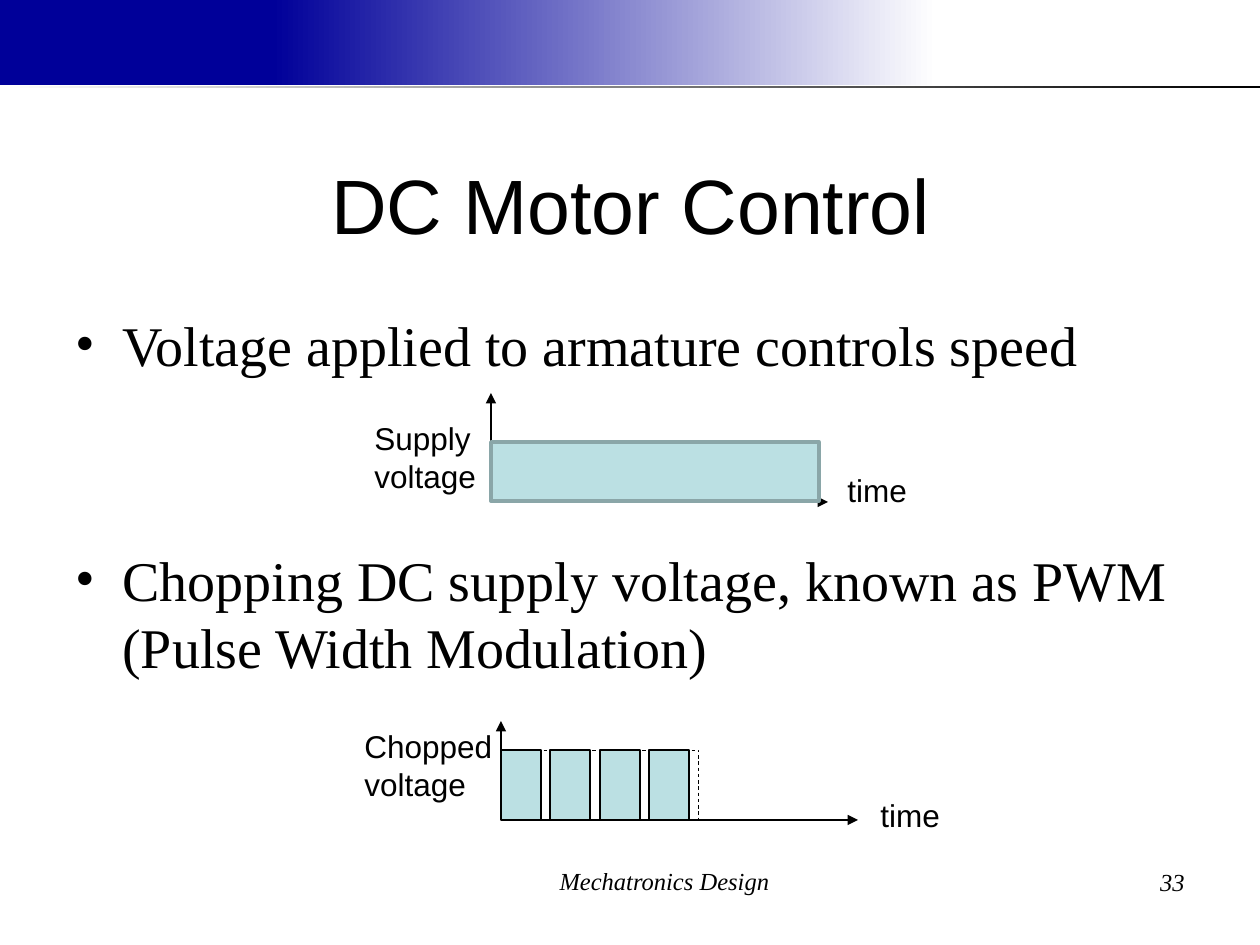
from lxml import etree
from pptx import Presentation
from pptx import util as u
from pptx.dml.color import RGBColor
from pptx.enum import dml, shapes, text
from pptx.oxml.ns import qn

SCALE = 914400 / 126
SANS, SERIF = "Arial", "Times New Roman"
BLACK, WHITE, NAVY, PALE, TEAL = "000000", "FFFFFF", "000099", "BBE0E3", "8AA6A8"
LEFT, CENTER, RIGHT = text.PP_ALIGN.LEFT, text.PP_ALIGN.CENTER, text.PP_ALIGN.RIGHT


def px(*lengths):
    return [u.Emu(round(length * SCALE)) for length in lengths]


def rgb(hex_color):
    return RGBColor.from_string(hex_color)


class Deck:
    """Holds the style and the slide being drawn."""

    def __init__(self):
        self.prs = Presentation()
        self.prs.slide_width, self.prs.slide_height = px(1260, 945)
        self.slide = self.prs.slides.add_slide(self.prs.slide_layouts[6])

    def rect(self, box, fill=None, line=None, width=0.75, dash=None):
        """fill is None, one colour, or a (left, right) pair for a gradient."""
        shape = self.slide.shapes.add_shape(shapes.MSO_SHAPE.RECTANGLE, *px(*box))
        shape.shadow.inherit = False
        if fill is None:
            shape.fill.background()
        elif isinstance(fill, tuple):
            shape.fill.gradient()
            shape.fill.gradient_angle = 0
            for stop, color in zip(shape.fill.gradient_stops, fill):
                stop.color.rgb = rgb(color)
        else:
            shape.fill.solid()
            shape.fill.fore_color.rgb = rgb(fill)
        if line is None:
            shape.line.fill.background()
        else:
            shape.line.color.rgb = rgb(line)
            shape.line.width = u.Pt(width)
            shape.line.dash_style = dash

    def line(self, start, end, arrow=True):
        connector = self.slide.shapes.add_connector(
            shapes.MSO_CONNECTOR.STRAIGHT, *px(*start, *end))
        connector.line.color.rgb = rgb(BLACK)
        connector.line.width = u.Pt(0.75)
        if arrow:
            outline = connector.line._get_or_add_ln()
            etree.SubElement(outline, qn("a:tailEnd"), type="triangle")
        etree.SubElement(connector._element.spPr, qn("a:effectLst"))

    def text(self, box, lines, size, font, align=LEFT, italic=False, wrap=True,
             anchor=text.MSO_ANCHOR.TOP, bullet_gap=None):
        """bullet_gap, in points, bullets the lines and sets them apart."""
        frame = self.slide.shapes.add_textbox(*px(*box)).text_frame
        frame.word_wrap = wrap
        frame.vertical_anchor = anchor
        if not wrap:
            frame.auto_size = text.MSO_AUTO_SIZE.SHAPE_TO_FIT_TEXT
        for i, words in enumerate(lines):
            para = frame.paragraphs[0] if i == 0 else frame.add_paragraph()
            para.alignment = align
            if bullet_gap is not None:
                if i:
                    para.space_before = u.Pt(bullet_gap)
                self.bullet(para, font)
                para.font.size = u.Pt(size)
            run = para.add_run()
            run.text = words
            run.font.size = u.Pt(size)
            run.font.name = font
            run.font.italic = italic
            run.font.color.rgb = rgb(BLACK)

    def bullet(self, para, font):
        props = para._p.get_or_add_pPr()
        indent = px(47)[0]
        props.set("marL", str(indent))
        props.set("indent", str(-indent))
        etree.SubElement(props, qn("a:buFont"), typeface=font)
        etree.SubElement(props, qn("a:buChar"), char="•")

    def label(self, box, *lines):
        self.text(box, lines, 18, SANS, wrap=False)

    def axes(self, origin, time_end, voltage_end):
        x, y = origin
        self.line(origin, (time_end, y))
        self.line(origin, (x, voltage_end))


def main():
    deck = Deck()

    # Header band and footer
    deck.rect((0, 0, 272, 85), NAVY)
    deck.rect((272, 0, 665, 85), (NAVY, WHITE))
    deck.rect((0, 86, 1260, 2), (WHITE, BLACK))
    deck.text((451, 860, 427, 66), ["Mechatronics Design"], 14, SERIF, CENTER, italic=True)
    deck.text((903, 861, 294, 66), ["33"], 14, SERIF, RIGHT, italic=True)

    deck.text((64, 125, 1134, 157), ["DC Motor Control"], 44, SANS, CENTER,
              anchor=text.MSO_ANCHOR.MIDDLE)
    deck.text((63, 304, 1134, 541),
              ["Voltage applied to armature controls speed",
               "Chopping DC supply voltage, known as PWM (Pulse Width Modulation)"],
              32, SERIF, bullet_gap=96)

    # Constant supply voltage
    deck.axes((491, 502), 828, 393)
    deck.line((491, 442), (819, 442), arrow=False)
    deck.label((835, 465, 90, 50), "time")
    deck.label((362, 413, 130, 88), "Supply", "voltage")
    deck.rect((491, 442, 328, 59), PALE, TEAL, 2)

    # Chopped voltage: each period is a pulse followed by a short gap
    deck.axes((501, 820), 858, 721)
    for pulse in range(4):
        left = 501 + pulse * 99 // 2
        deck.rect((left, 750, 40, 70), PALE, BLACK)
        deck.rect((left, 750, 50, 70), None, BLACK, 0.5, dml.MSO_LINE.DASH)
    deck.label((868, 790, 90, 50), "time")
    deck.label((352, 721, 156, 88), "Chopped", "voltage")

    deck.prs.save("out.pptx")


if __name__ == "__main__":
    main()
